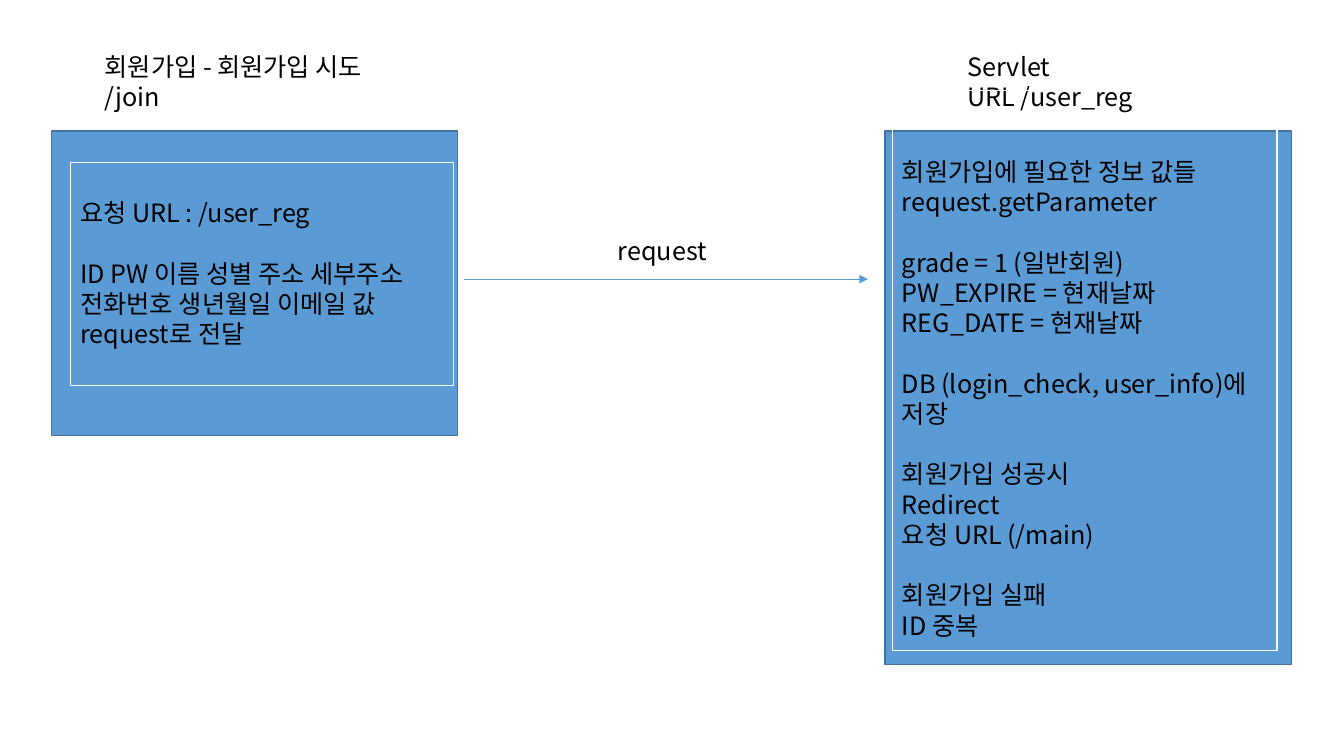
import pptx
import pptx.util
import pptx.dml.color
import pptx.enum.shapes
import pptx.enum.text
import pptx.oxml
import pptx.oxml.ns

Pt = pptx.util.Pt
RGBColor = pptx.dml.color.RGBColor
BLUE = RGBColor(0x5B, 0x9B, 0xD5)
DARK_BLUE = RGBColor(0x43, 0x73, 0x9E)
WHITE = RGBColor(0xFF, 0xFF, 0xFF)
BLACK = RGBColor(0, 0, 0)
FONT = "Noto Sans CJK KR"
FONT_SIZE = 18
LINE_HEIGHT = 21.6
INSET_X, INSET_Y = 7.2, 3.6
HEADER_TOP, HEADER_HEIGHT = 33.1, 51.1
PANEL_TOP, PANEL_WIDTH = 93.6, 290.2

JOIN_PAGE = {
    "header": ["회원가입 - 회원가입 시도", "/join"],
    "header_left": 67.7, "header_width": 239.8,
    "panel_left": 36.7, "panel_height": 217.4,
    "frame": (50.4, 115.9, 273.6, 159.8),
    "lines_above": 1,
    "sections": [
        ["요청 URL : /user_reg"],
        ["ID PW 이름 성별 주소 세부주소 전화번호 생년월일 이메일 값 request로 전달"],
    ],
}
SERVLET = {
    "header": ["Servlet", "URL /user_reg"],
    "header_left": 684, "header_width": 193,
    "panel_left": 632.2, "panel_height": 380.9,
    "frame": (637.2, 64.8, 275, 399.6),
    "lines_above": 2,
    "sections": [
        ["회원가입에 필요한 정보 값들", "request.getParameter"],
        ["grade = 1 (일반회원)", "PW_EXPIRE = 현재날짜", "REG_DATE = 현재날짜"],
        ["DB (login_check, user_info)에 저장"],
        ["회원가입 성공시", "Redirect", "요청 URL (/main)"],
        ["회원가입 실패", "ID 중복"],
    ],
}
REQUEST_LABEL = "request"
REQUEST_BOX = (434.2, 164.9, 119.5, 28.8)
ARROW_START, ARROW_END, ARROW_Y = 331.2, 619.9, 199.4

deck = pptx.Presentation()
deck.slide_width, deck.slide_height = Pt(960), Pt(540)
slide = deck.slides.add_slide(deck.slide_layouts[6])


def write(holder, sections, lines_above=0):
    frame = holder.text_frame
    frame.word_wrap = True
    frame.vertical_anchor = pptx.enum.text.MSO_ANCHOR.TOP
    frame.margin_left = frame.margin_right = Pt(INSET_X)
    frame.margin_top = Pt(INSET_Y + lines_above * LINE_HEIGHT)
    frame.margin_bottom = Pt(INSET_Y)
    paragraph = None
    for section in sections:
        for index, line in enumerate(section):
            starts_later_section = paragraph is not None and index == 0
            paragraph = frame.paragraphs[0] if paragraph is None else frame.add_paragraph()
            paragraph.alignment = pptx.enum.text.PP_ALIGN.LEFT
            if starts_later_section:
                paragraph.space_before = Pt(LINE_HEIGHT)
            run = paragraph.add_run()
            run.text = line
            run.font.size = Pt(FONT_SIZE)
            run.font.name = FONT
            run.font.color.rgb = BLACK
            east_asian = pptx.oxml.parse_xml(
                f'<a:ea {pptx.oxml.ns.nsdecls("a")} typeface="{FONT}"/>')
            run.font._element.append(east_asian)


def add_label(box, lines):
    write(slide.shapes.add_textbox(*map(Pt, box)), [lines])


def add_rectangle(box, fill, line, line_width):
    rectangle = slide.shapes.add_shape(
        pptx.enum.shapes.MSO_SHAPE.RECTANGLE, *map(Pt, box))
    rectangle.shadow.inherit = False
    if fill is None:
        rectangle.fill.background()
    else:
        rectangle.fill.solid()
        rectangle.fill.fore_color.rgb = fill
    rectangle.line.color.rgb = line
    rectangle.line.width = Pt(line_width)
    return rectangle


def add_stage(stage):
    add_label((stage["header_left"], HEADER_TOP, stage["header_width"], HEADER_HEIGHT),
              stage["header"])
    add_rectangle((stage["panel_left"], PANEL_TOP, PANEL_WIDTH, stage["panel_height"]),
                  BLUE, DARK_BLUE, 1)
    write(add_rectangle(stage["frame"], None, WHITE, 0),
          stage["sections"], stage["lines_above"])


def add_request_arrow():
    arrow = slide.shapes.add_connector(
        pptx.enum.shapes.MSO_CONNECTOR.STRAIGHT,
        Pt(ARROW_START), Pt(ARROW_Y), Pt(ARROW_END), Pt(ARROW_Y))
    arrow.line.color.rgb = BLUE
    arrow.line.width = Pt(0.5)
    namespace = pptx.oxml.ns.nsdecls("a")
    arrow.line._get_or_add_ln().append(
        pptx.oxml.parse_xml(f'<a:tailEnd {namespace} type="triangle"/>'))
    arrow._element.spPr.append(pptx.oxml.parse_xml(f"<a:effectLst {namespace}/>"))


add_stage(JOIN_PAGE)
add_request_arrow()
add_label(REQUEST_BOX, [REQUEST_LABEL])
add_stage(SERVLET)

deck.save("out.pptx")
